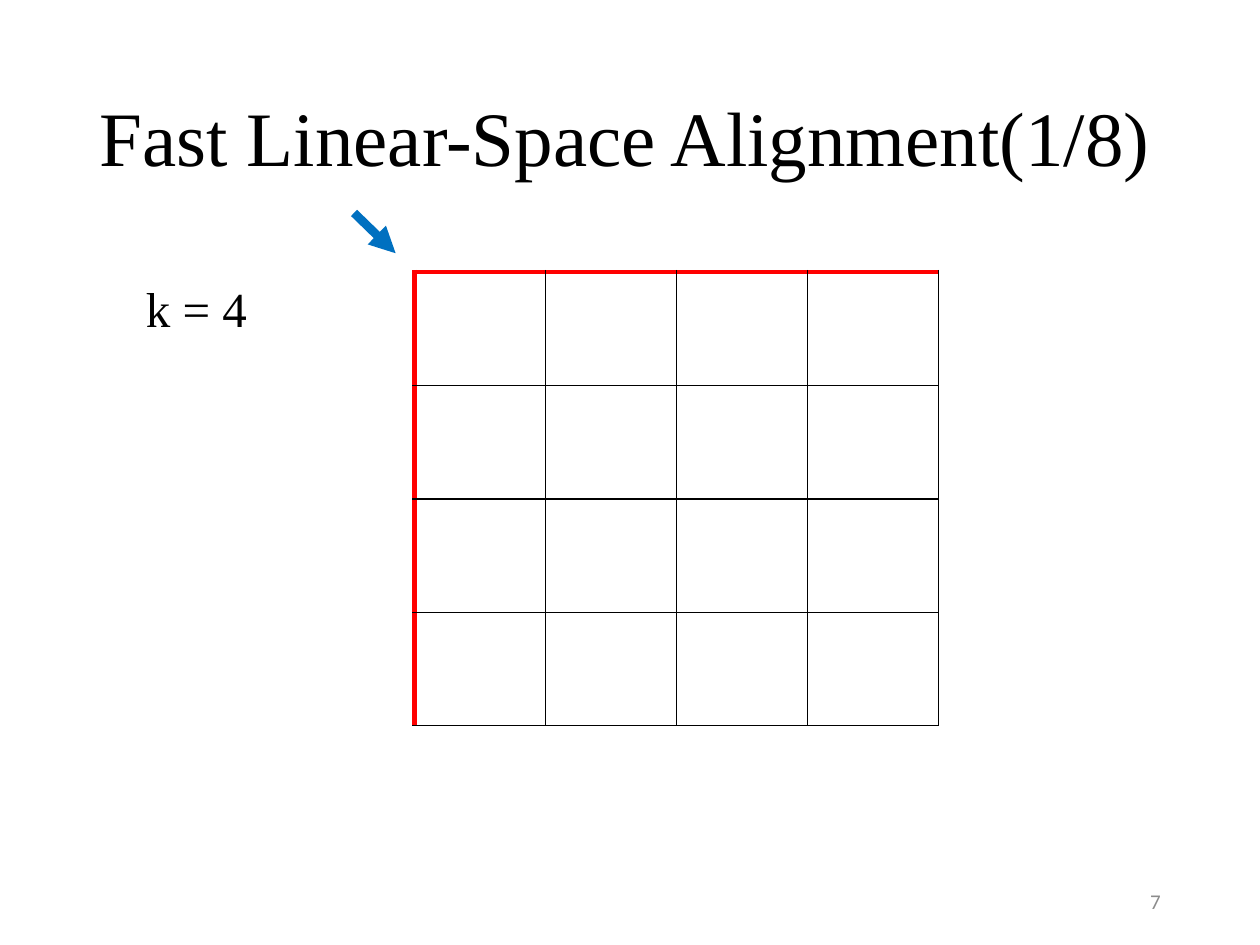
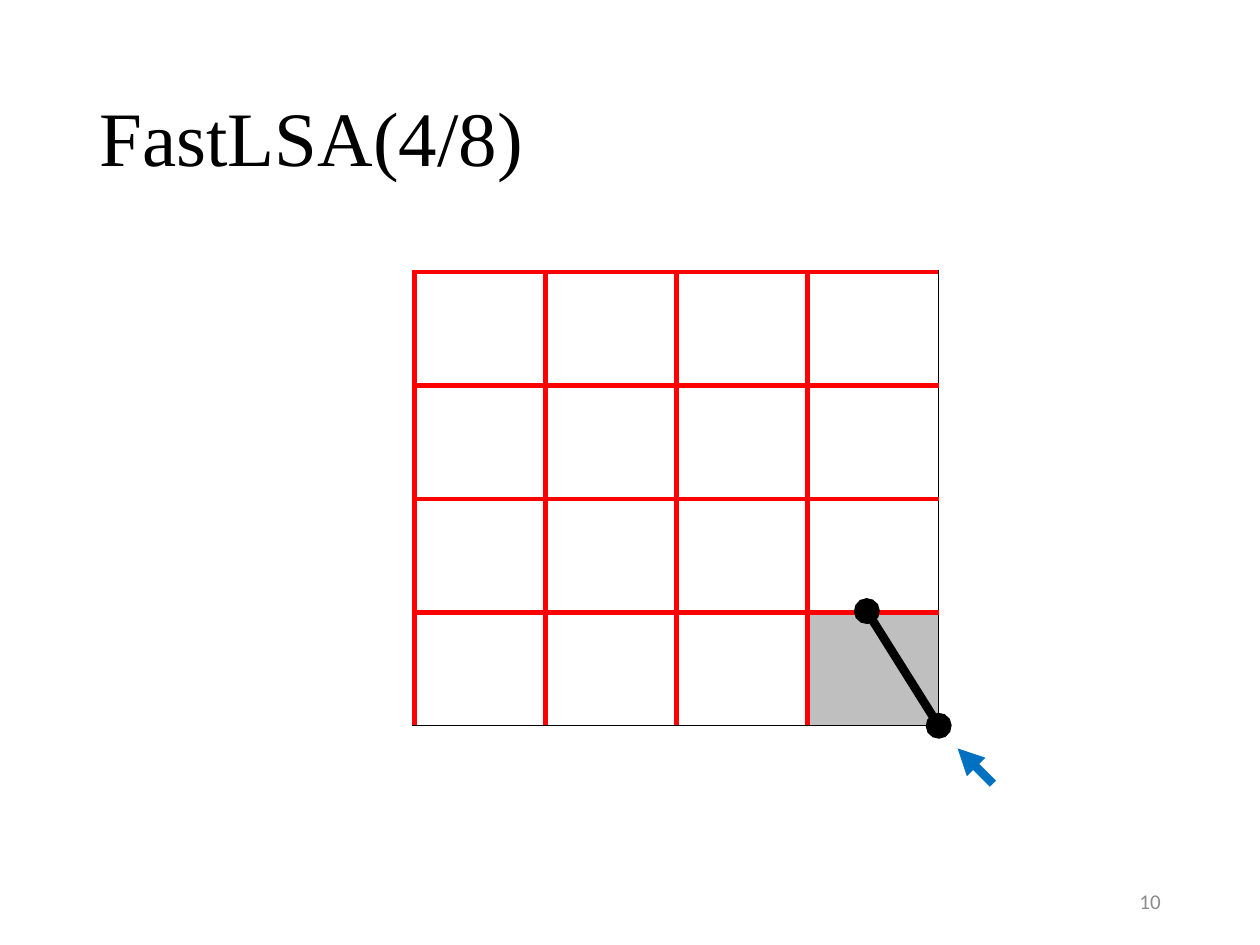
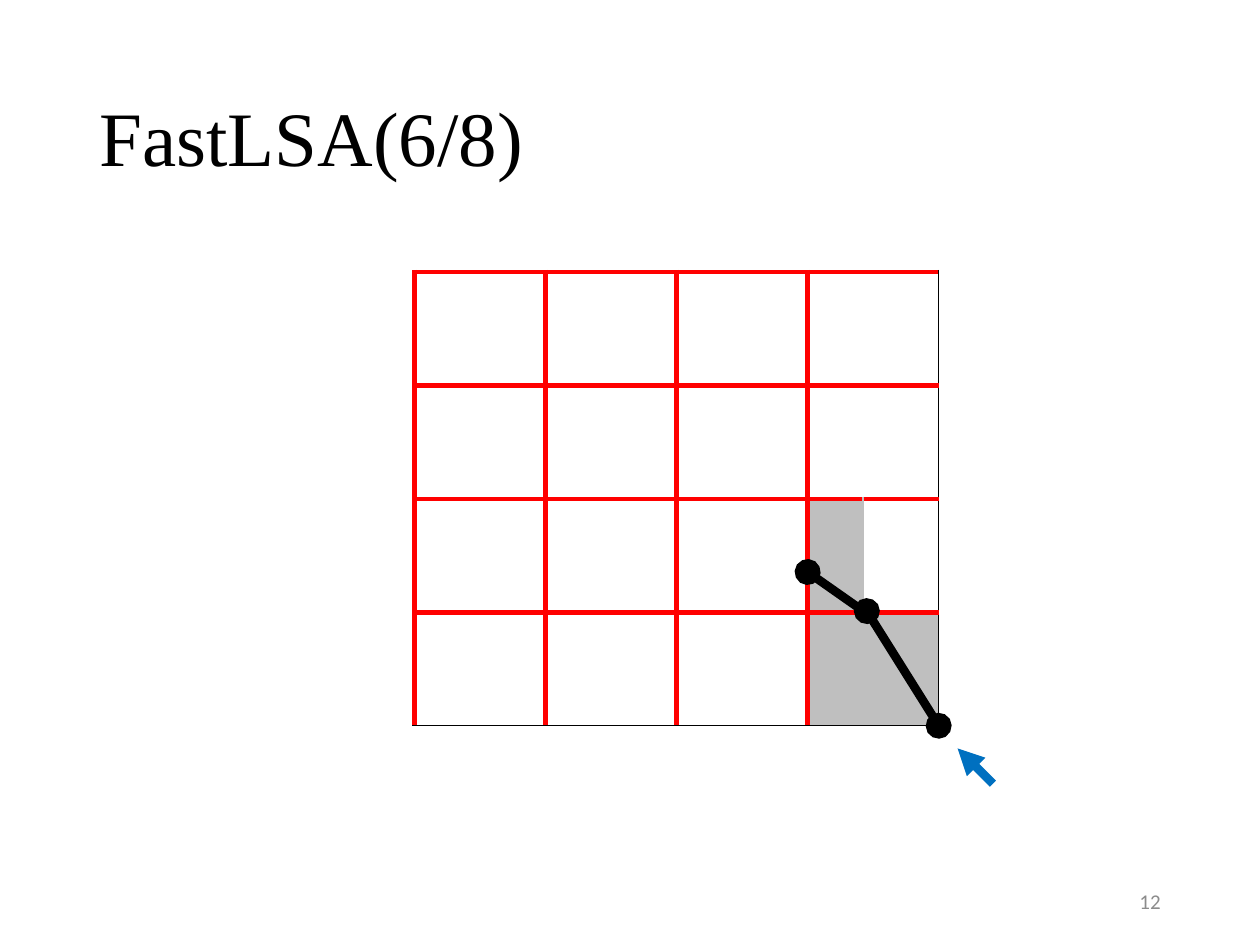
from itertools import product

from lxml.etree import SubElement
from pptx import Presentation
from pptx.dml.color import RGBColor
from pptx.enum.shapes import MSO_CONNECTOR
from pptx.enum.text import MSO_ANCHOR, MSO_AUTO_SIZE, PP_ALIGN
from pptx.oxml.ns import qn
from pptx.util import Emu, Pt

SCALE = 9144  # EMU in one px, 100 px to the inch
COLORS = {
    "black": "000000",
    "red": "FF0000",
    "blue": "0070C0",
    "shade": "BFBFBF",
    "number": "8C8C8C",
}
TITLE_AREA = (69, 40, 862, 145)
NUMBER_AREA = (706, 695, 225, 40)
GRID_LEFT, GRID_TOP = 329, 216
CELL_WIDTH, CELL_HEIGHT = 104, 90
SIZE = 4
SPLIT_WIDTH = 44

THIN = ("black", 1)
CACHED = ("red", 3)
FADED = ("shade", 1)

TITLE_FORMAT = {"name": "Times New Roman", "size": Pt(44)}
LABEL_FORMAT = {"name": "Times New Roman", "size": Pt(28)}
NUMBER_FORMAT = {"name": "Calibri", "size": Pt(12)}

CORNER = (745, 576)
CROSSING = (688, 485)
CORNER_POINTER = ((788, 622), (760, 594))


def px(length):
    return Emu(length * SCALE)


def rgb(color):
    return RGBColor.from_string(COLORS[color])


def place(shape, area):
    for side, length in zip(("left", "top", "width", "height"), area):
        setattr(shape, side, px(length))


def write(box, text, font_format, color="black", align=PP_ALIGN.LEFT, **frame_format):
    frame = box.text_frame
    for name, value in frame_format.items():
        setattr(frame, name, value)
    para = frame.paragraphs[0]
    para.alignment = align
    span = para.add_run()
    span.text = text
    for name, value in font_format.items():
        setattr(span.font, name, value)
    span.font.color.rgb = rgb(color)
    return para


def add_page(deck, title, number):
    page = deck.slides.add_slide(deck.slide_layouts[5])
    place(page.shapes.title, TITLE_AREA)
    para = write(page.shapes.title, title, TITLE_FORMAT, word_wrap=True,
                 vertical_anchor=MSO_ANCHOR.MIDDLE, auto_size=MSO_AUTO_SIZE.NONE)
    para.line_spacing = 0.9
    box = page.shapes.add_textbox(*map(px, NUMBER_AREA))
    write(box, str(number), NUMBER_FORMAT, "number", PP_ALIGN.RIGHT,
          word_wrap=True, vertical_anchor=MSO_ANCHOR.MIDDLE)
    return page


def add_label(page, text, area):
    box = page.shapes.add_textbox(*map(px, area))
    write(box, text, LABEL_FORMAT, word_wrap=False,
          auto_size=MSO_AUTO_SIZE.SHAPE_TO_FIT_TEXT)


def set_border(cell, side, color, points):
    properties = cell._tc.get_or_add_tcPr()
    line = SubElement(properties, qn(f"a:ln{side}"), w=str(Pt(points)))
    fill = SubElement(line, qn("a:solidFill"))
    SubElement(fill, qn("a:srgbClr"), val=COLORS[color])


def add_grid(page, inner, shaded=(), split_row=None):
    """Draw the block grid; split_row divides the last block of that row in two."""
    widths = [CELL_WIDTH] * SIZE
    if split_row is not None:
        widths[-1:] = [SPLIT_WIDTH, CELL_WIDTH - SPLIT_WIDTH]
    table = page.shapes.add_table(
        SIZE, len(widths), px(GRID_LEFT), px(GRID_TOP),
        px(CELL_WIDTH * SIZE), px(CELL_HEIGHT * SIZE)).table
    table.first_row = table.horz_banding = False
    for column, width in zip(table.columns, widths):
        column.width = px(width)
    for table_row in table.rows:
        table_row.height = px(CELL_HEIGHT)

    last = SIZE - 1
    for row, col in product(range(SIZE), range(len(widths))):
        cell = table.cell(row, col)
        halved = row == split_row
        borders = {
            "L": CACHED if col == 0 else FADED if halved and col > last else inner,
            "R": inner if col < last else FADED if halved and col == last else THIN,
            "T": CACHED if row == 0 else inner,
            "B": THIN if row == last else inner,
        }
        for side, border in borders.items():
            set_border(cell, side, *border)
        if (row, col) in shaded:
            cell.fill.solid()
            cell.fill.fore_color.rgb = rgb("shade")
        else:
            cell.fill.background()

    if split_row is not None:
        for row in range(SIZE):
            if row != split_row:
                table.cell(row, last).merge(table.cell(row, last + 1))


def add_line(page, start, end, color, head=None, tail=None):
    line = page.shapes.add_connector(MSO_CONNECTOR.STRAIGHT, *map(px, start + end))
    line.line.width = Pt(5)
    line.line.color.rgb = rgb(color)
    outline = line.line._get_or_add_ln()
    for tag, kind in (("a:headEnd", head), ("a:tailEnd", tail)):
        if kind:
            SubElement(outline, qn(tag), type=kind)
    SubElement(line._element.spPr, qn("a:effectLst"))


def add_pointer(page, start, end):
    add_line(page, start, end, "blue", tail="triangle")


def main():
    deck = Presentation()
    deck.slide_width, deck.slide_height = px(1000), px(750)

    page = add_page(deck, "Fast Linear-Space Alignment(1/8)", 7)
    add_grid(page, THIN)
    add_pointer(page, (281, 169), (314, 201))
    add_label(page, "k = 4", (106, 216, 101, 57))

    page = add_page(deck, "FastLSA(4/8)", 10)
    add_grid(page, CACHED, shaded={(3, 3)})
    add_pointer(page, *CORNER_POINTER)
    add_line(page, CORNER, CROSSING, "black", "oval", "oval")

    page = add_page(deck, "FastLSA(6/8)", 12)
    add_grid(page, CACHED, shaded={(2, 3), (3, 3)}, split_row=2)
    add_pointer(page, *CORNER_POINTER)
    add_line(page, (688, 487), (641, 454), "black", tail="oval")
    add_line(page, CORNER, CROSSING, "black", "oval", "oval")

    deck.save("out.pptx")


if __name__ == "__main__":
    main()
